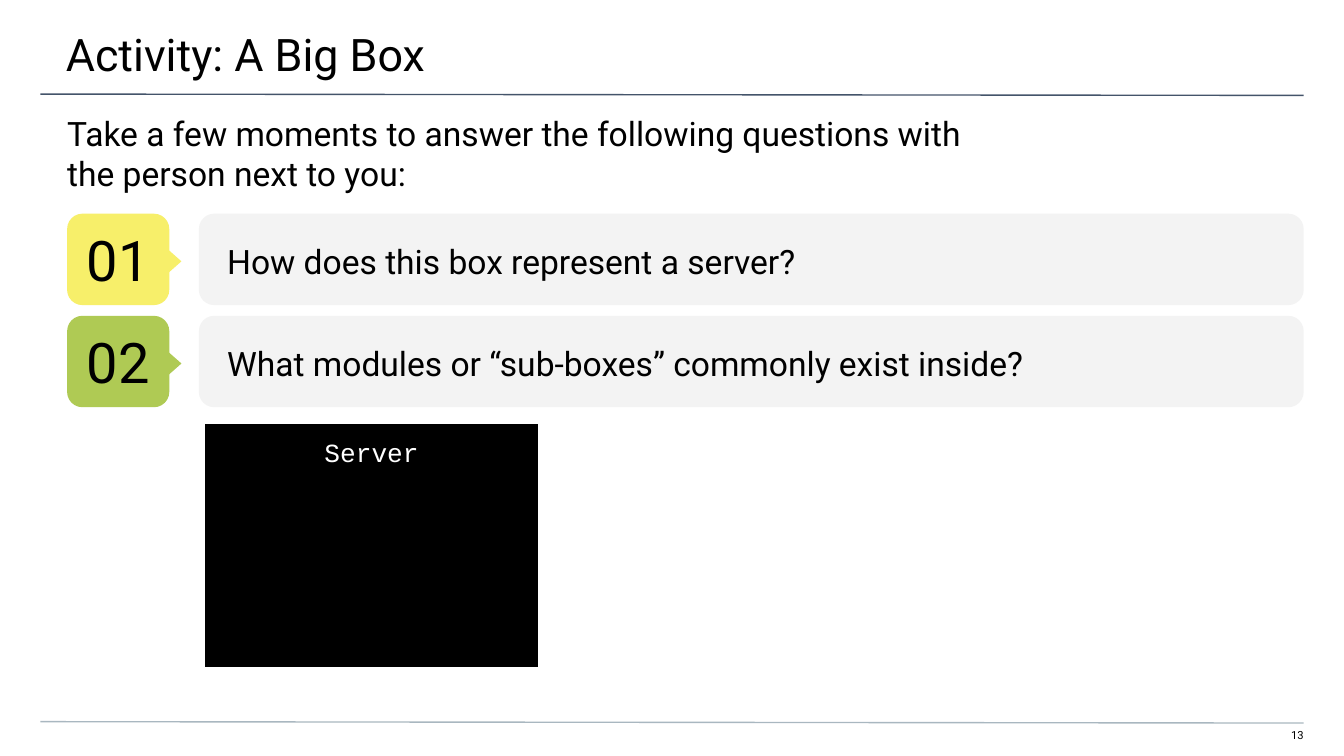
from lxml import etree
from pptx import Presentation
from pptx.dml.color import RGBColor
from pptx.enum.shapes import MSO_CONNECTOR, MSO_SHAPE
from pptx.enum.text import MSO_ANCHOR, PP_ALIGN
from pptx.oxml.ns import qn
from pptx.util import Inches, Pt

LEFT, CENTER, RIGHT = PP_ALIGN.LEFT, PP_ALIGN.CENTER, PP_ALIGN.RIGHT
TOP, MIDDLE = MSO_ANCHOR.TOP, MSO_ANCHOR.MIDDLE
ROUND, ARROW = MSO_SHAPE.ROUNDED_RECTANGLE, MSO_SHAPE.FLOWCHART_EXTRACT
STRAIGHT = MSO_CONNECTOR.STRAIGHT
SIDES = ("left", "top", "right", "bottom")

COLORS = {
    "black": "000000", "white": "FFFFFF", "navy": "44546A", "mist": "A9B7C0",
    "gray": "F3F3F3", "yellow": "F7EF6A", "green": "AFCA54",
}
QUESTIONS = [
    ("01", "yellow", "How does this box represent a server?"),
    ("02", "green", "What modules or “sub-boxes” commonly exist inside?"),
]


def color(name):
    return RGBColor.from_string(COLORS[name])


def style(run, size, name, tint):
    look = {"size": Pt(size), "name": name}
    for key, value in look.items():
        setattr(run.font, key, value)
    run.font.color.rgb = color(tint)


def write(frame, text, size, align=LEFT, anchor=TOP, pad=(0, 0, 0, 0)):
    """Fill a text frame with one paragraph; pad is left, top, right, bottom."""
    frame.word_wrap = True
    frame.vertical_anchor = anchor
    for side, gap in zip(SIDES, pad):
        setattr(frame, f"margin_{side}", Inches(gap))
    para = frame.paragraphs[0]
    para.text = text
    para.alignment = align
    for run in para.runs:
        style(run, size, "Roboto", "black")


def add_text(slide, box, text, size, **form):
    shape = slide.shapes.add_textbox(*map(Inches, box))
    write(shape.text_frame, text, size, **form)


def add_block(slide, kind, box, fill):
    shape = slide.shapes.add_shape(kind, *map(Inches, box))
    shape.shadow.inherit = False
    shape.fill.solid()
    shape.fill.fore_color.rgb = color(fill)
    shape.line.fill.background()
    return shape


def add_rule(slide, top, tint):
    ends = map(Inches, (0.3, top, 9.7, top + 0.01))
    rule = slide.shapes.add_connector(STRAIGHT, *ends)
    rule.line.color.rgb = color(tint)
    rule.line.width = Pt(0.75)
    etree.SubElement(rule._element.spPr, qn("a:effectLst"))


def add_frame(slide):
    """Page number, rules, title and lead text."""
    add_text(slide, (9.41, 5.42, 0.29, 0.12), "13", 6,
             align=RIGHT, pad=(0, 0, 0, 0.1))
    add_rule(slide, 5.37, "mist")
    add_rule(slide, 0.7, "navy")
    add_text(slide, (-0.01, 0, 10.03, 0.58), "Activity: A Big Box", 24,
             pad=(0.5, 0.2, 0.3, 0.1))
    lead = ("Take a few moments to answer the following questions with \n"
            "the person next to you:")
    add_text(slide, (0, 0.74, 10, 0.4), lead, 18, pad=(0.5, 0.1, 0.5, 0))


def add_question(slide, box, number, fill, text):
    """Numbered badge with a pointer, and the question on a gray bar."""
    left, top, width, height = box
    add_block(slide, ROUND, (left + 0.98, top, width - 0.98, height), "gray")
    badge = add_block(slide, ROUND, (left, top, 0.76, height), fill)
    write(badge.text_frame, number, 30, align=CENTER, anchor=MIDDLE,
          pad=(0.1,) * 4)
    arrow = add_block(slide, ARROW, (left + 0.56, top + 0.25, 0.37, 0.21), fill)
    arrow.rotation = 90
    add_text(slide, (left - 0.51, top + 0.02, width + 0.83, height - 0.02),
             text, 18, anchor=MIDDLE, pad=(1.7, 0, 0.5, 0))


def paint_cell(cell):
    cell.fill.solid()
    cell.fill.fore_color.rgb = color("black")
    cell.vertical_anchor = MIDDLE
    for side in SIDES:
        setattr(cell, f"margin_{side}", 0)
    end = cell.text_frame.paragraphs[0]._p.get_or_add_endParaRPr()
    end.set("sz", "1000")
    props = cell._tc.get_or_add_tcPr()
    for spot, tag in enumerate(("a:lnL", "a:lnR", "a:lnT", "a:lnB")):
        edge = etree.Element(qn(tag), w=str(Pt(12)))
        solid = etree.SubElement(edge, qn("a:solidFill"))
        etree.SubElement(solid, qn("a:srgbClr"), val=COLORS["black"])
        props.insert(spot, edge)


def add_server(slide, box):
    """Black table whose first row is the label."""
    left, top, width, height = box
    rows, cols, head = 6, 2, 0.32
    table = slide.shapes.add_table(rows, cols, *map(Inches, box)).table
    for col in table.columns:
        col.width = Inches(width / cols)
    for row in table.rows:
        row.height = Inches((height - head) / (rows - 1))
    table.rows[0].height = Inches(head)
    for cell in table.iter_cells():
        paint_cell(cell)
    for row in (0, 2, 5):
        table.cell(row, 0).merge(table.cell(row, 1))
    para = table.cell(0, 0).text_frame.paragraphs[0]
    para.alignment = CENTER
    run = para.add_run()
    run.text = "Server"
    style(run, 14, "Courier New", "white")


def main():
    deck = Presentation()
    deck.slide_width = Inches(10)
    deck.slide_height = deck.slide_width * 9 // 16
    slide = deck.slides.add_slide(deck.slide_layouts[6])
    add_frame(slide)
    for step, question in enumerate(QUESTIONS):
        add_question(slide, (0.5, 1.59 + 0.76 * step, 9.2, 0.68), *question)
    add_server(slide, (1.6, 3.23, 2.33, 1.66))
    deck.save("out.pptx")


if __name__ == "__main__":
    main()
